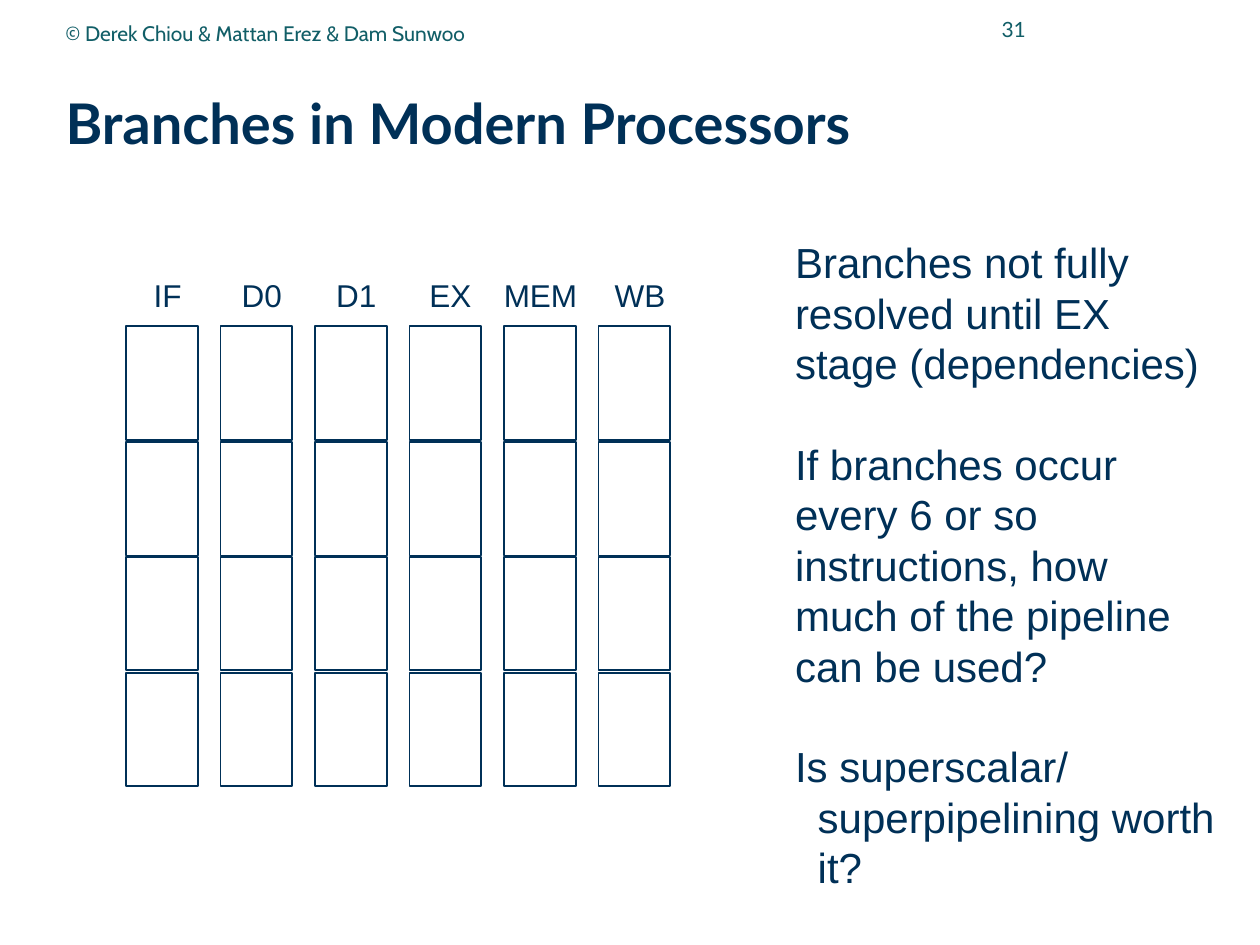
import pptx
import pptx.dml.color
import pptx.enum.shapes
import pptx.enum.text
import pptx.util

NAVY = pptx.dml.color.RGBColor(0x00, 0x30, 0x57)
TEAL = pptx.dml.color.RGBColor(0x11, 0x5E, 0x67)
PX = 9144  # EMU per px, 100 px to the inch
MID = pptx.enum.text.MSO_ANCHOR.MIDDLE
LEFT = pptx.enum.text.PP_ALIGN.LEFT
RIGHT = pptx.enum.text.PP_ALIGN.RIGHT
SIZE = pptx.enum.text.MSO_AUTO_SIZE


def place(shape, left, top, width, height):
    shape.left, shape.top = left * PX, top * PX
    shape.width, shape.height = width * PX, height * PX


def write(para, text, size, font, color, bold=False):
    run = para.add_run()
    run.text = text
    run.font.size = pptx.util.Pt(size)
    run.font.name = font
    run.font.color.rgb = color
    run.font.bold = bold


deck = pptx.Presentation()
deck.slide_width, deck.slide_height = 1000 * PX, 750 * PX
slide = deck.slides.add_slide(deck.slide_layouts[1])
shapes = slide.shapes

# Title
title = shapes.title
place(title, 42, 50, 941, 98)
title.text_frame.vertical_anchor = MID
para = title.text_frame.paragraphs[0]
para.alignment = LEFT
para.line_spacing = 0.99
write(para, "Branches in Modern Processors", 32, "Lato", NAVY, True)

# Page number and credit line
for text, box, font, align in (
    ("31", (733, -2, 91, 50), "Lato", RIGHT),
    ("© Derek Chiou & Mattan Erez & Dam Sunwoo", (42, 3, 567, 46), "Cabin", LEFT),
):
    head = shapes.add_textbox(0, 0, 0, 0)
    place(head, *box)
    head.text_frame.word_wrap = True
    head.text_frame.vertical_anchor = MID
    para = head.text_frame.paragraphs[0]
    para.alignment = align
    write(para, text, 12, font, TEAL)

# Pipeline: one column per stage, four slots wide
stages = (
    ("IF", 112, 42), ("D0", 182, 52), ("D1", 257, 52),
    ("EX", 331, 54), ("MEM", 390, 79), ("WB", 478, 60),
)
for col, (name, left, width) in enumerate(stages):
    for row in range(4):
        slot = shapes.add_shape(pptx.enum.shapes.MSO_SHAPE.RECTANGLE, 0, 0, 0, 0)
        place(slot, 100 + 75 * col, 259 + round(91.67 * row), 57, 90)
        slot.shadow.inherit = False
        slot.fill.background()
        slot.line.color.rgb = NAVY
        slot.line.width = pptx.util.Pt(1)
    label = shapes.add_textbox(0, 0, 0, 0)
    place(label, left, 214, width, 40)
    label.text_frame.word_wrap = False
    label.text_frame.auto_size = SIZE.SHAPE_TO_FIT_TEXT
    write(label.text_frame.paragraphs[0], name, 18, "Arial", NAVY)

# Points: each group is set off by a line of space
groups = (
    ("Branches not fully", "resolved until EX", "stage (dependencies)"),
    ("If branches occur", "every 6 or so", "instructions, how",
     "much of the pipeline", "can be used?"),
    ("Is superscalar/", "superpipelining worth", "it?"),
)
body = slide.placeholders[1]
place(body, 621, 183, 354, 529)
frame = body.text_frame
frame.word_wrap = False
frame.auto_size = SIZE.NONE
pitch = pptx.util.Pt(28.8)
para = frame.paragraphs[0]
for num, group in enumerate(groups):
    for pos, text in enumerate(group):
        if num or pos:
            para = frame.add_paragraph()
        para.line_spacing = pitch
        para.space_before = pitch if num and not pos else pptx.util.Pt(0)
        inset = 18 * PX if num == 2 and pos else 0
        props = para._p.get_or_add_pPr()
        props.set("marL", str(inset))
        props.set("indent", "0")
        props.append(pptx.oxml.parse_xml(
            '<a:buNone xmlns:a="http://schemas.openxmlformats.org/drawingml/2006/main"/>'))
        write(para, text, 24, "Arial", NAVY)

deck.save("out.pptx")
